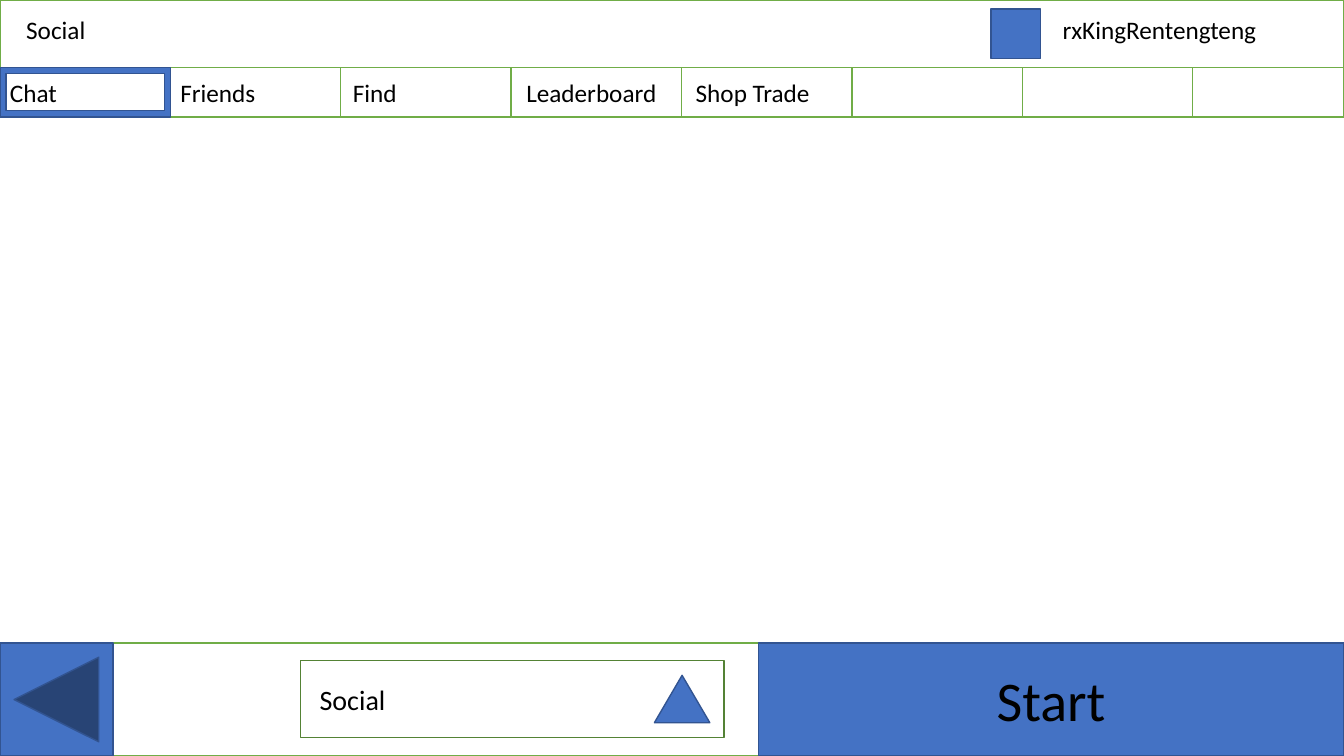
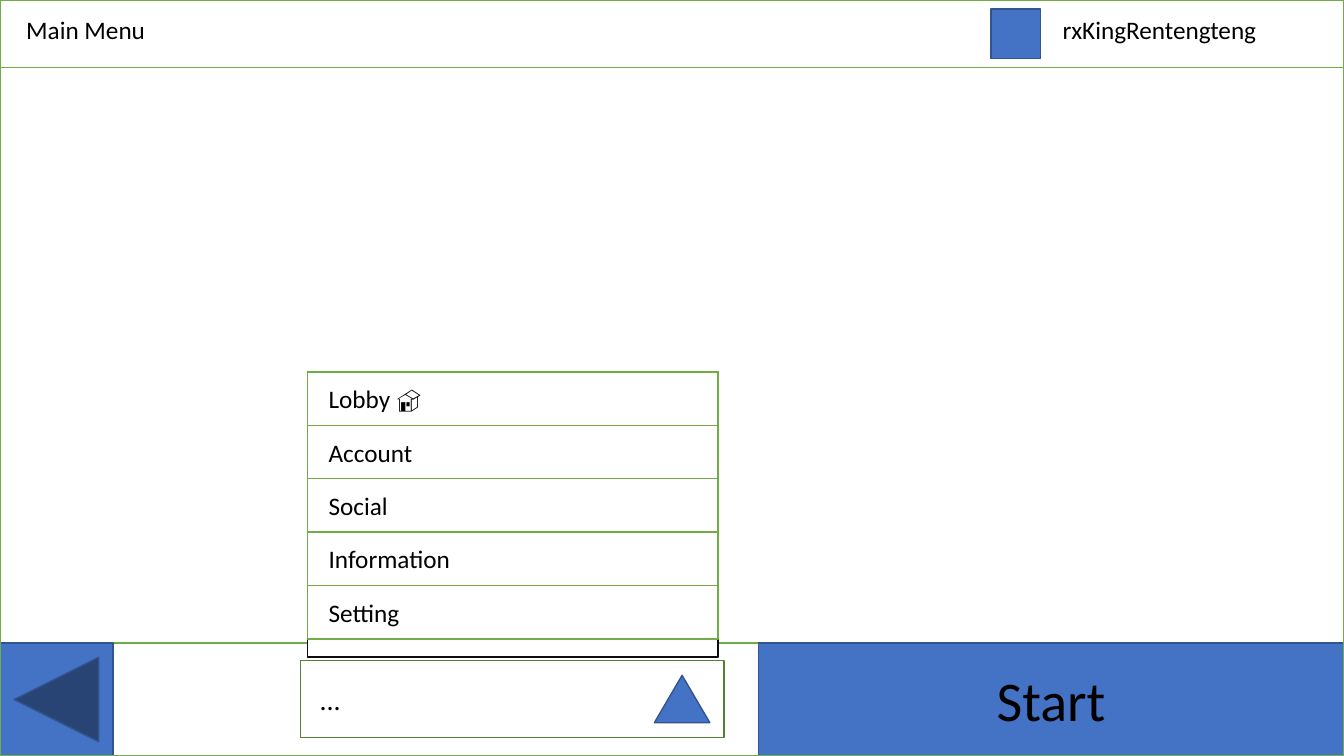
from pptx import Presentation
from pptx.dml.color import RGBColor
from pptx.enum.shapes import MSO_SHAPE
from pptx.enum.text import MSO_ANCHOR, MSO_AUTO_SIZE, PP_ALIGN
from pptx.util import Inches, Pt

W, H = 13.33, 7.5
HEADER_H, FOOTER_H = 0.67, 1.12
FOOTER_Y = H - FOOTER_H
TAB_W, TAB_H = 1.69, 0.49
MENU_X, MENU_Y, MENU_W, MENU_H, ROW_H = 3.05, 3.69, 4.07, 2.83, 0.53
WHITE, BLACK, BLUE, NAVY = "FFFFFF", "000000", "4472C4", "325491"
GREEN, DARK_GREEN, MENU_EDGE = "70AD47", "548235", "0D0D0D"

USER = "rxKingRentengteng"
TABS = [("Chat", 0.1), ("Friends", 0.1), ("Find", 0.12), ("Leaderboard", 0.15),
        ("Shop Trade", 0.14), ("", 0.1), ("", 0.1), ("", 0.1)]
MENU = ["Lobby 🏠", "Account", "Social", "Information", "Setting"]


def rgb(value):
    return RGBColor.from_string(value)


def write(shape, text, size=18, align=PP_ALIGN.LEFT, inset=0.1):
    tf = shape.text_frame
    tf.word_wrap = True
    tf.auto_size = MSO_AUTO_SIZE.NONE
    tf.vertical_anchor = MSO_ANCHOR.MIDDLE
    tf.margin_left, tf.margin_right = Inches(inset), Inches(0.1)
    tf.margin_top = tf.margin_bottom = Inches(0.05)
    p = tf.paragraphs[0]
    p.alignment = align
    r = p.add_run()
    r.text = text
    r.font.name, r.font.size = "Calibri", Pt(size)
    r.font.color.rgb = rgb(BLACK)


def place(shape, x, y, w, h):
    shape.left, shape.top, shape.width, shape.height = map(Inches, (x, y, w, h))


def box(s, x, y, w, h, fill=WHITE, line=GREEN, kind=MSO_SHAPE.RECTANGLE, text="", **fmt):
    sp = s.shapes.add_shape(kind, *map(Inches, (x, y, w, h)))
    sp.shadow.inherit = False
    if fill:
        sp.fill.solid()
        sp.fill.fore_color.rgb = rgb(fill)
    else:
        sp.fill.background()
    sp.line.color.rgb = rgb(line)
    sp.line.width = Pt(1)
    if text:
        write(sp, text, **fmt)
    return sp


def screen(prs, title, selected):
    s = prs.slides.add_slide(prs.slide_layouts[5])
    box(s, 0, 0, W, HEADER_H)
    box(s, 0, FOOTER_Y, W, FOOTER_H)
    box(s, 7.52, FOOTER_Y, W - 7.52, FOOTER_H, BLUE, NAVY,
        text="Start", size=40, align=PP_ALIGN.CENTER)
    box(s, 9.83, 0.09, 0.49, 0.49, BLUE, NAVY)
    user = s.shapes.add_textbox(*map(Inches, (10.44, 0.09, 2.55, 0.4)))
    write(user, USER)
    box(s, 2.98, 6.55, 4.2, 0.77, line=DARK_GREEN, text=selected, size=20, inset=0.19)
    box(s, 6.49, 6.7, 0.55, 0.47, BLUE, NAVY, MSO_SHAPE.ISOSCELES_TRIANGLE)
    box(s, 0, FOOTER_Y, FOOTER_H, FOOTER_H, BLUE, NAVY,
        MSO_SHAPE.ACTION_BUTTON_BACK_OR_PREVIOUS)
    heading = s.shapes.title
    place(heading, 0.16, 0.09, 5.16, 0.4)
    write(heading, title)
    s.shapes.element.append(heading.element)
    return s


def add_tabs(s):
    for i, (label, inset) in enumerate(TABS):
        x = i * TAB_W
        box(s, x, HEADER_H, min(TAB_W, W - x), TAB_H, text=label, inset=inset)
    box(s, 0, HEADER_H, TAB_W, TAB_H, BLUE, NAVY, MSO_SHAPE.FRAME)


def add_menu(s):
    box(s, 0, 0, W, H, fill=None)
    box(s, MENU_X, MENU_Y, MENU_W, MENU_H, line=MENU_EDGE)
    for i, label in enumerate(MENU):
        box(s, MENU_X, MENU_Y + i * ROW_H, MENU_W, ROW_H, text=label, inset=0.21)


def main():
    prs = Presentation()
    prs.slide_width, prs.slide_height = Inches(W), Inches(H)
    add_tabs(screen(prs, "Social", "Social"))
    add_menu(screen(prs, "Main Menu", "..."))
    prs.save("out.pptx")


if __name__ == "__main__":
    main()
